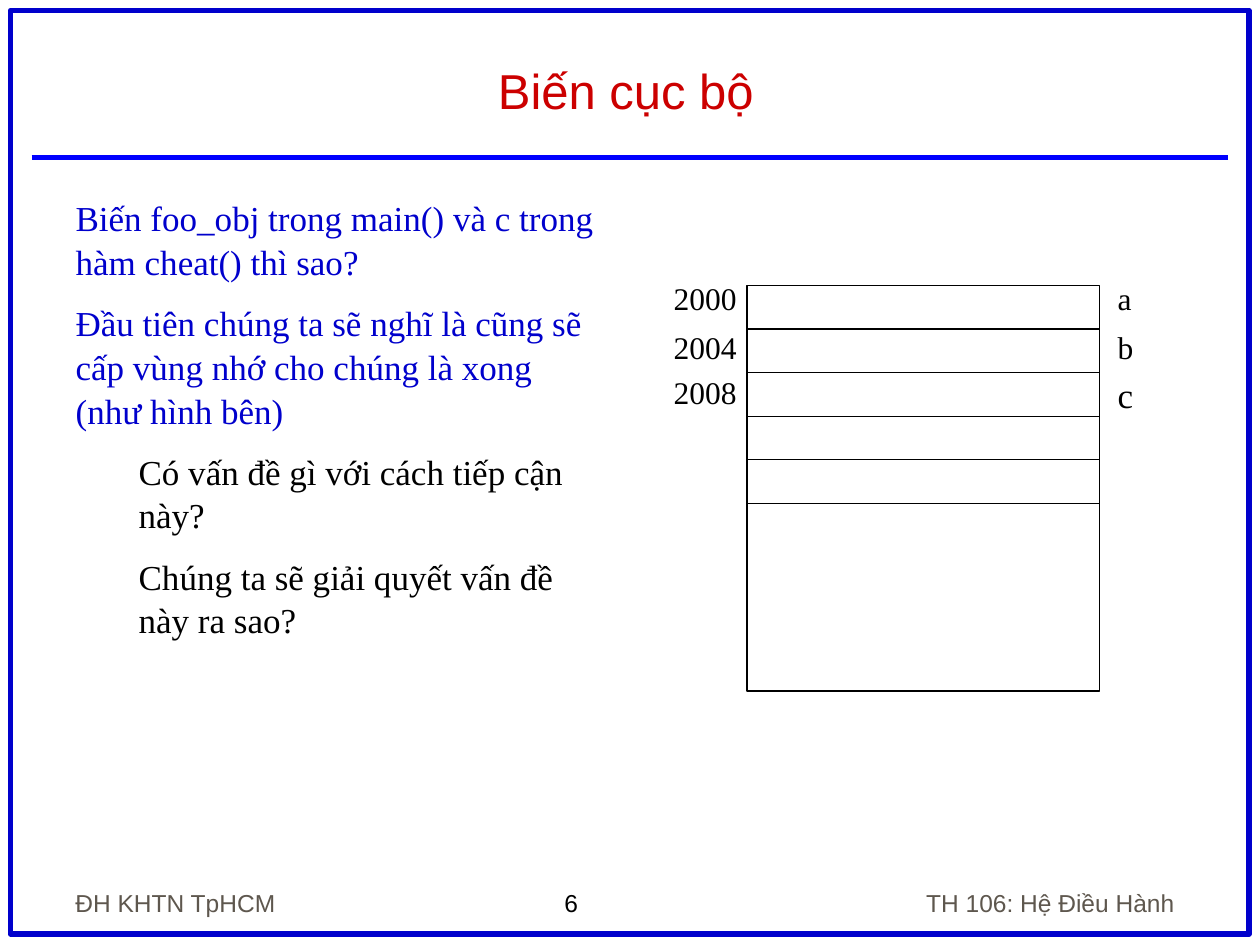
from dataclasses import dataclass

from pptx import Presentation
from pptx.dml.color import RGBColor
from pptx.enum.shapes import MSO_CONNECTOR, MSO_SHAPE
from pptx.enum.text import MSO_ANCHOR, MSO_AUTO_SIZE, PP_ALIGN
from pptx.oxml.ns import qn
from pptx.slide import Slide
from pptx.util import Cm, Pt
from lxml.etree import SubElement


@dataclass(frozen=True)
class TextStyle:
    font: str
    size: float
    color: str


@dataclass(frozen=True)
class Theme:
    title: TextStyle = TextStyle("Arial", 28, "CC0000")
    question: TextStyle = TextStyle("Times New Roman", 20, "0000CC")
    detail: TextStyle = TextStyle("Times New Roman", 20, "000000")
    label: TextStyle = TextStyle("Times New Roman", 18, "000000")
    footer: TextStyle = TextStyle("Arial", 14, "5E574E")
    page: TextStyle = TextStyle("Arial", 14, "000000")
    frame: str = "0000CC"
    rule: str = "0000FF"
    memory: str = "000000"


@dataclass(frozen=True)
class Box:
    """A place on the slide, in centimetres."""
    left: float
    top: float
    width: float
    height: float


@dataclass(frozen=True)
class Label:
    text: str
    box: Box
    style: TextStyle
    align: PP_ALIGN = PP_ALIGN.LEFT
    anchor: MSO_ANCHOR = MSO_ANCHOR.TOP
    wrap: bool = False


@dataclass(frozen=True)
class Cell:
    address: str
    variable: str
    top: float
    variable_style: TextStyle


THEME = Theme()
MEMORY = Box(15.06, 5.75, 7.11, 8.18)
ROW_HEIGHT = 0.88
DIVIDERS = 5
CELLS = (
    Cell("2000", "a", 5.51, THEME.label),
    Cell("2004", "b", 6.48, THEME.label),
    Cell("2008", "c", 7.4, THEME.detail),
)
FOOTERS = (
    Label("ĐH KHTN TpHCM", Box(1.27, 17.35, 5.28, 1.27), THEME.footer,
          anchor=MSO_ANCHOR.BOTTOM, wrap=True),
    Label("6", Box(11.13, 17.78, 2.77, 0.86), THEME.page, wrap=True),
    Label("TH 106: Hệ Điều Hành", Box(16.94, 17.35, 6.99, 1.27), THEME.footer,
          PP_ALIGN.RIGHT, MSO_ANCHOR.BOTTOM, True),
)
BODY = (
    ("Biến foo_obj trong main() và c trong hàm cheat() thì sao?", 0),
    ("Đầu tiên chúng ta sẽ nghĩ là cũng sẽ cấp vùng nhớ cho chúng là xong "
     "(như hình bên)", 0),
    ("Có vấn đề gì với cách tiếp cận này?", 1),
    ("Chúng ta sẽ giải quyết vấn đề này ra sao?", 1),
)


def place(shape, box: Box) -> None:
    shape.left, shape.top = Cm(box.left), Cm(box.top)
    shape.width, shape.height = Cm(box.width), Cm(box.height)


def style_paragraph(paragraph, style: TextStyle) -> None:
    font = paragraph.font
    font.name, font.size = style.font, Pt(style.size)
    font.color.rgb = RGBColor.from_string(style.color)


def add_outline(slide: Slide, box: Box, color: str, weight: float) -> None:
    shape = slide.shapes.add_shape(MSO_SHAPE.RECTANGLE, 0, 0, 0, 0)
    place(shape, box)
    shape.shadow.inherit = False
    shape.fill.background()
    shape.line.color.rgb = RGBColor.from_string(color)
    shape.line.width = Pt(weight)


def add_horizontal_line(slide: Slide, left: float, right: float, top: float,
                        color: str, weight: float) -> None:
    line = slide.shapes.add_connector(
        MSO_CONNECTOR.STRAIGHT, Cm(left), Cm(top), Cm(right), Cm(top))
    line.line.color.rgb = RGBColor.from_string(color)
    line.line.width = Pt(weight)
    SubElement(line.element.spPr, qn("a:effectLst"))


def add_label(slide: Slide, label: Label) -> None:
    shape = slide.shapes.add_textbox(0, 0, 0, 0)
    place(shape, label.box)
    frame = shape.text_frame
    frame.word_wrap = label.wrap
    frame.vertical_anchor = label.anchor
    frame.text = label.text
    paragraph = frame.paragraphs[0]
    paragraph.alignment = label.align
    style_paragraph(paragraph, label.style)


def fill_title(slide: Slide) -> None:
    title = slide.shapes.title
    place(title, Box(1.11, 0.64, 23.01, 1.9))
    frame = title.text_frame
    frame.text = "Biến cục bộ"
    frame.auto_size = MSO_AUTO_SIZE.NONE
    frame.vertical_anchor = MSO_ANCHOR.BOTTOM
    paragraph = frame.paragraphs[0]
    paragraph.alignment = PP_ALIGN.CENTER
    style_paragraph(paragraph, THEME.title)


def fill_body(slide: Slide) -> None:
    body = slide.placeholders[1]
    place(body, Box(1.27, 3.81, 11.15, 13.03))
    frame = body.text_frame
    frame.text = "\n".join(text for text, _ in BODY)
    frame.auto_size = MSO_AUTO_SIZE.NONE
    for paragraph, (_, level) in zip(frame.paragraphs, BODY):
        paragraph.level = level
        paragraph.space_before = Pt(10)
        paragraph.line_spacing = 1.04
        style_paragraph(paragraph, THEME.detail if level else THEME.question)
        properties = paragraph._p.get_or_add_pPr()
        properties.set("marL", str(Cm(1.27) * level))
        properties.set("indent", "0")
        bullet = SubElement(properties, qn("a:buNone"))
        properties.find(qn("a:defRPr")).addprevious(bullet)


def draw_memory(slide: Slide) -> None:
    add_outline(slide, MEMORY, THEME.memory, 0.75)
    for row in range(1, DIVIDERS + 1):
        add_horizontal_line(slide, MEMORY.left, MEMORY.left + MEMORY.width,
                            MEMORY.top + row * ROW_HEIGHT, THEME.memory, 0.75)
    for cell in CELLS:
        add_label(slide, Label(cell.address, Box(13.33, cell.top, 1.78, 1.02),
                               THEME.label))
        add_label(slide, Label(cell.variable, Box(22.28, cell.top, 0.8, 1.02),
                               cell.variable_style))


def main() -> None:
    presentation = Presentation()
    presentation.slide_width, presentation.slide_height = Cm(25.4), Cm(19.05)
    slide = presentation.slides.add_slide(presentation.slide_layouts[1])
    add_outline(slide, Box(0.21, 0.21, 24.97, 18.62), THEME.frame, 3)
    add_horizontal_line(slide, 0.64, 24.76, 3.18, THEME.rule, 3)
    for footer in FOOTERS:
        add_label(slide, footer)
    fill_title(slide)
    fill_body(slide)
    draw_memory(slide)
    presentation.save("out.pptx")


if __name__ == "__main__":
    main()
